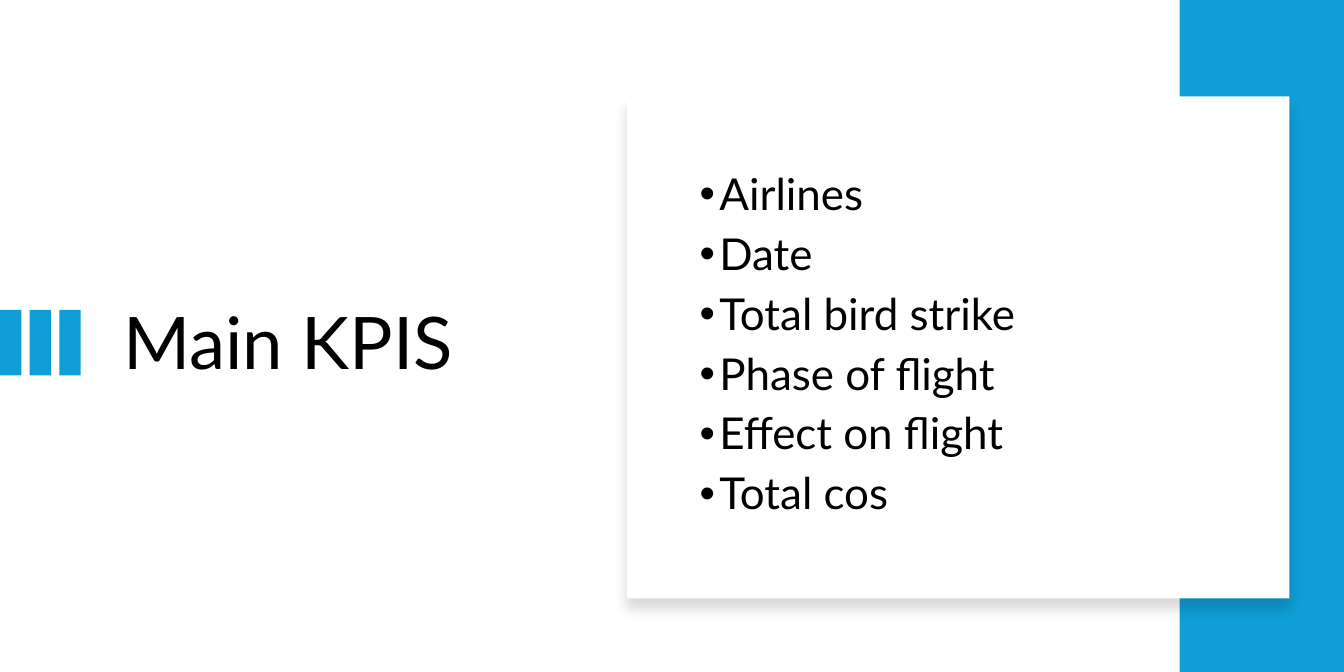
from dataclasses import dataclass

from lxml import etree
from pptx import Presentation, util as u
from pptx.dml.color import RGBColor
from pptx.enum import shapes, text
from pptx.oxml.ns import qn

WIDTH, HEIGHT = 17, 8.5
FONT = "Lato"
BLUE, WHITE, BLACK = "0F9ED5", "FFFFFF", "000000"
KPIS = ["Airlines", "Date", "Total bird strike", "Phase of flight",
        "Effect on flight", "Total cos"]


@dataclass(frozen=True)
class Box:
    x: float
    y: float
    w: float
    h: float

    def place(self) -> tuple:
        return (u.Inches(self.x * WIDTH), u.Inches(self.y * HEIGHT),
                u.Inches(self.w * WIDTH), u.Inches(self.h * HEIGHT))


def share(left: float, top: float, width: float, height: float) -> Box:
    return Box(left / WIDTH, top / HEIGHT, width / WIDTH, height / HEIGHT)


TITLE = share(1.46, 1.66, 5.43, 5.43)
BODY = share(8.5, 1.66, 7.34, 5.43)
CARD = share(7.93, 1.22, 8.38, 6.35)
BAND = share(14.92, 0, 2.08, HEIGHT)
BARS = [share(i * 0.375, 3.92, 0.27, 0.83) for i in range(3)]


def color(value: str) -> RGBColor:
    return RGBColor.from_string(value)


def add_rect(s, box: Box, fill: str):
    sp = s.shapes.add_shape(shapes.MSO_SHAPE.RECTANGLE, *box.place())
    sp.shadow.inherit = False
    sp.fill.solid()
    sp.fill.fore_color.rgb = color(fill)
    sp.line.fill.background()
    return sp


def add_shadow(sp, blur: float, distance: float, angle: int, opacity: int) -> None:
    effects = sp._element.spPr.find(qn("a:effectLst"))
    shadow = etree.SubElement(
        effects, qn("a:outerShdw"), blurRad=str(u.Pt(blur)), dist=str(u.Pt(distance)),
        dir=str(angle * 60000), algn="t", rotWithShape="0")
    rgb = etree.SubElement(shadow, qn("a:srgbClr"), val=BLACK)
    etree.SubElement(rgb, qn("a:alpha"), val=str(opacity * 1000))


def add_bullet(p) -> None:
    pPr = p._p.get_or_add_pPr()
    pPr.set("marL", str(u.Inches(0.5)))
    pPr.set("indent", str(u.Inches(-0.25)))
    etree.SubElement(pPr, qn("a:buFont"), typeface="Arial")
    etree.SubElement(pPr, qn("a:buChar"), char="•")


def fill_placeholder(sp, box: Box, lines: list[str], size: int,
                     before: float = 0, bullets: bool = False) -> None:
    sp.left, sp.top, sp.width, sp.height = box.place()
    tf = sp.text_frame
    tf.word_wrap = True
    tf.auto_size = text.MSO_AUTO_SIZE.NONE
    tf.vertical_anchor = text.MSO_ANCHOR.MIDDLE
    for i, line in enumerate(lines):
        p = tf.add_paragraph() if i else tf.paragraphs[0]
        p.alignment = text.PP_ALIGN.LEFT
        p.line_spacing = 0.9
        p.space_before = u.Pt(before)
        if bullets:
            add_bullet(p)
        r = p.add_run()
        r.text = line
        r.font.name = FONT
        r.font.size = u.Pt(size)
        r.font.color.rgb = color(BLACK)


def main() -> None:
    prs = Presentation()
    prs.slide_width, prs.slide_height = u.Inches(WIDTH), u.Inches(HEIGHT)
    s = prs.slides.add_slide(prs.slide_layouts[0])
    title, body = s.placeholders
    fill_placeholder(title, TITLE, ["Main KPIS"], 66)
    for bar in BARS:
        add_rect(s, bar, BLUE)
    add_rect(s, BAND, BLUE)
    card = add_rect(s, CARD, WHITE)
    add_shadow(card, blur=11, distance=10, angle=90, opacity=15)
    fill_placeholder(body, BODY, KPIS, 40, before=11.3, bullets=True)
    card._element.addnext(body._element)
    prs.save("out.pptx")


if __name__ == "__main__":
    main()
